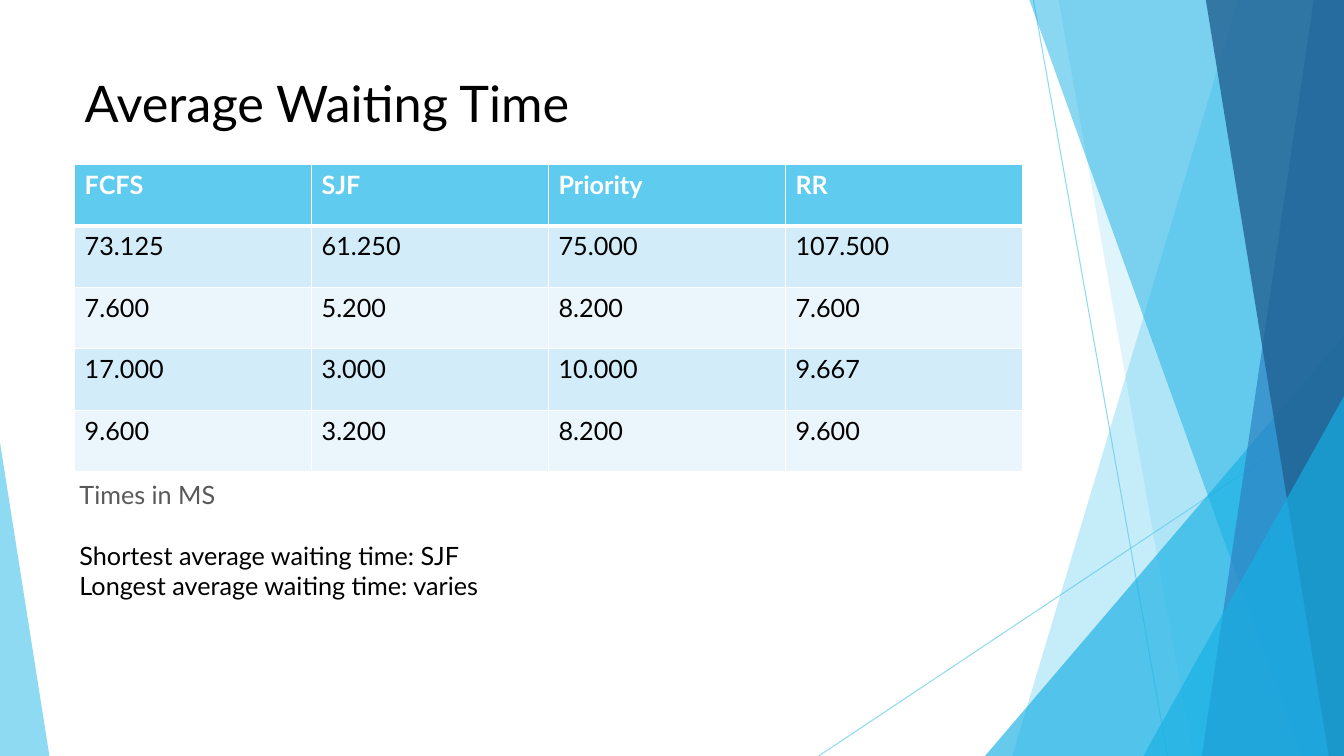
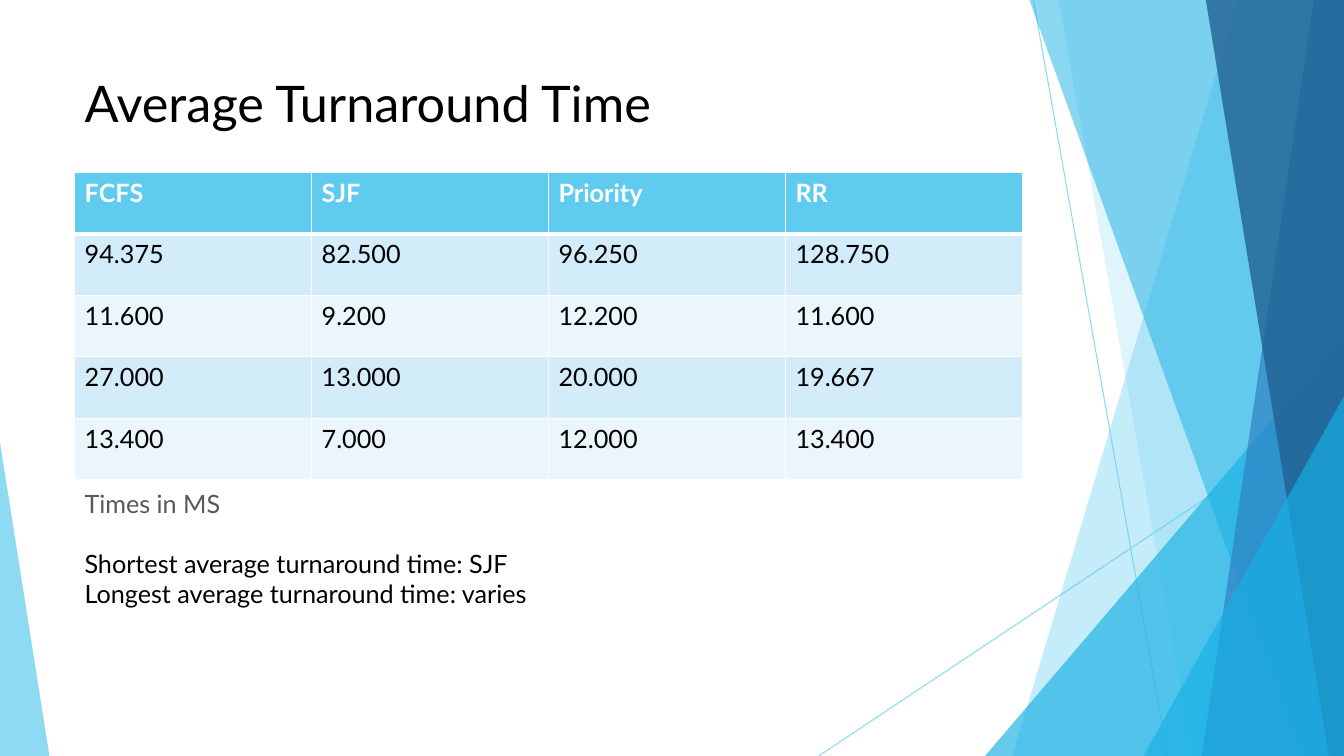
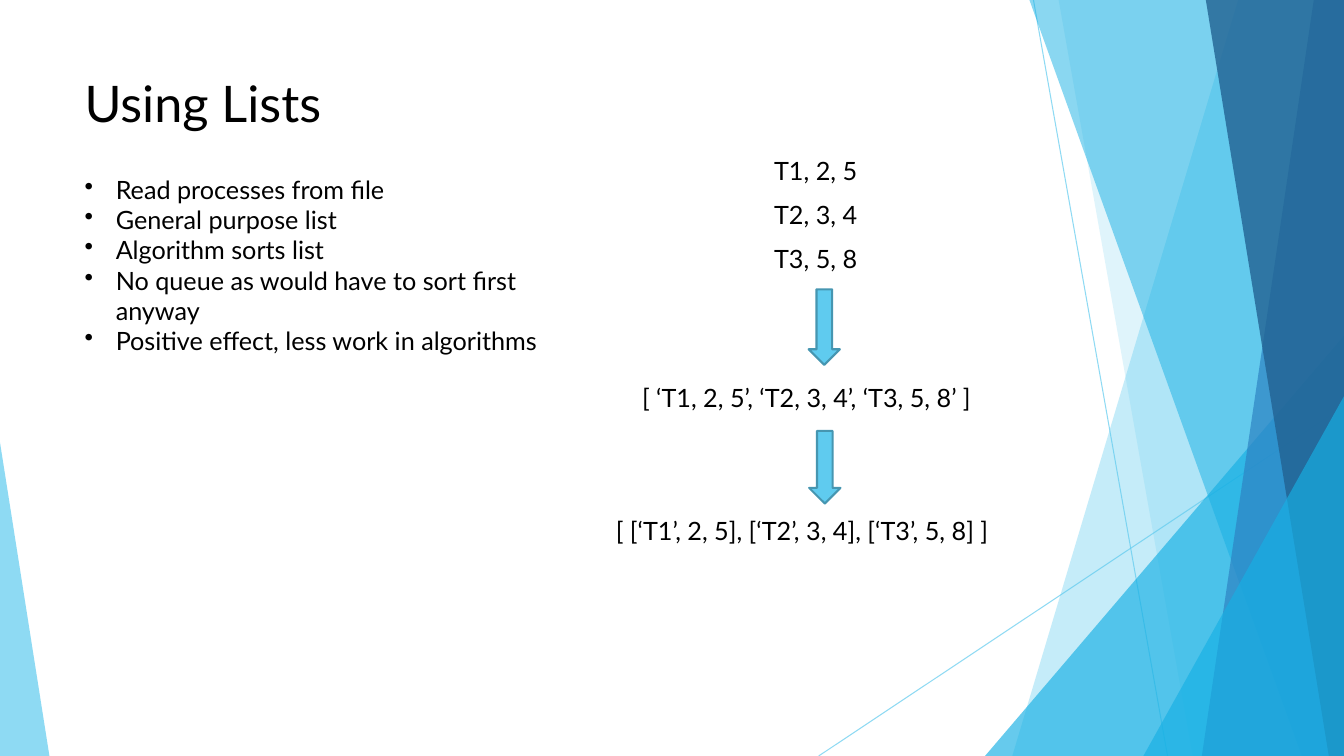
from dataclasses import dataclass
from typing import Sequence

from lxml.etree import SubElement
from pptx import Presentation
from pptx.dml.color import RGBColor
from pptx.enum.shapes import MSO_CONNECTOR, MSO_SHAPE
from pptx.oxml.ns import qn
from pptx.shapes.autoshape import Shape
from pptx.shapes.base import BaseShape
from pptx.slide import Slide, SlideLayout
from pptx.table import _Cell as Cell
from pptx.text.text import TextFrame
from pptx.util import Inches, Pt


# Theme and page geometry
@dataclass(frozen=True)
class Theme:
    font: str = "Lato"
    title_size: float = 36
    body_size: float = 18
    text: str = "000000"
    muted: str = "595959"
    white: str = "FFFFFF"
    sky: str = "5FCBEF"
    cyan: str = "17B0E4"
    blue: str = "2E83C3"
    navy: str = "226292"
    arrow_edge: str = "4696B1"
    row_fills: tuple[str, str] = ("D2ECF9", "EAF6FC")


THEME = Theme()
PAGE_WIDTH, PAGE_HEIGHT = 13.33, 7.5
MARGIN, TITLE_TOP, CONTENT_WIDTH = 0.74, 0.67, 9.4
ROW_HEIGHT = 0.61
BULLET_INDENT = 0.31


# Repeated elements
@dataclass(frozen=True)
class Ray:
    start: tuple[float, float]
    end: tuple[float, float]


@dataclass(frozen=True)
class Band:
    """A strip from a slanted left edge to the right side of the page."""
    top_left: float
    bottom_left: float
    color: str
    opacity: int


@dataclass(frozen=True)
class Corner:
    """A right triangle standing on the bottom of the page."""
    left: float
    top: float
    width: float
    apex: float
    color: str
    opacity: int


@dataclass(frozen=True)
class Line:
    text: str
    color: str = THEME.text
    space_before: float = 0
    bullet: bool = False


@dataclass(frozen=True)
class TimingSlide:
    title: str
    table_top: float
    summary_left: float
    summary_width: float
    measure: str
    rows: tuple[tuple[str, ...], ...]


@dataclass(frozen=True)
class Arrow:
    left: float
    top: float
    length: float


RAYS = (
    Ray((10.25, 0), (11.58, PAGE_HEIGHT)),
    Ray((PAGE_WIDTH, 4.03), (8.12, PAGE_HEIGHT)),
)
FACETS = (
    Band(12.28, 10.04, THEME.sky, 36),
    Band(10.5, 11.83, THEME.sky, 20),
    Corner(9.77, 3.33, 3.56, 1, THEME.cyan, 66),
    Band(10.21, 12.91, THEME.cyan, 50),
    Band(13.03, 11.92, THEME.blue, 70),
    Band(11.96, 13.18, THEME.navy, 80),
    Corner(11.34, 3.93, 1.99, 1, THEME.cyan, 66),
    Corner(0, 4.39, 0.49, 0, THEME.sky, 70),
)
ALGORITHMS = ("FCFS", "SJF", "Priority", "RR")
TIMING_SLIDES = (
    TimingSlide("Average Waiting Time", 1.63, 0.69, 4.76, "waiting", (
        ("73.125", "61.250", "75.000", "107.500"),
        ("7.600", "5.200", "8.200", "7.600"),
        ("17.000", "3.000", "10.000", "9.667"),
        ("9.600", "3.200", "8.200", "9.600"),
    )),
    TimingSlide("Average Turnaround Time", 1.71, MARGIN, 5.93, "turnaround", (
        ("94.375", "82.500", "96.250", "128.750"),
        ("11.600", "9.200", "12.200", "11.600"),
        ("27.000", "13.000", "20.000", "19.667"),
        ("13.400", "7.000", "12.000", "13.400"),
    )),
)
LIST_POINTS = (
    "Read processes from file",
    "General purpose list",
    "Algorithm sorts list",
    "No queue as would have to sort first anyway",
    "Positive effect, less work in algorithms",
)
PROCESSES = ("T1, 2, 5", "T2, 3, 4", "T3, 5, 8")
LIST_ARROWS = (Arrow(7.8, 3.09, 0.75), Arrow(7.82, 4.48, 0.72))


# Drawing helpers
def rgb(color: str) -> RGBColor:
    return RGBColor.from_string(color)


def set_opacity(shape: BaseShape, percent: int) -> None:
    for color in shape.element.iter(qn("a:srgbClr")):
        SubElement(color, qn("a:alpha")).set("val", str(percent * 1000))


def fill_shape(shape: Shape, color: str) -> None:
    shape.shadow.inherit = False
    shape.fill.solid()
    shape.fill.fore_color.rgb = rgb(color)


def write_lines(frame: TextFrame, lines: Sequence[Line],
                size: float = THEME.body_size, bold: bool = False) -> None:
    for index, line in enumerate(lines):
        paragraph = frame.add_paragraph() if index else frame.paragraphs[0]
        paragraph.text = line.text
        paragraph.space_before = Pt(line.space_before)
        paragraph.font.name = THEME.font
        paragraph.font.size = Pt(size)
        paragraph.font.bold = bold
        paragraph.font.color.rgb = rgb(line.color)
        if line.bullet:
            properties = paragraph._p.get_or_add_pPr()
            properties.set("marL", str(Inches(BULLET_INDENT)))
            properties.set("indent", str(-Inches(BULLET_INDENT)))
            bullet = properties.makeelement(qn("a:buChar"), {"char": "•"})
            properties.find(qn("a:defRPr")).addprevious(bullet)


def add_text(slide: Slide, left: float, top: float, width: float, height: float,
             lines: Sequence[Line], size: float = THEME.body_size) -> None:
    box = slide.shapes.add_textbox(
        Inches(left), Inches(top), Inches(width), Inches(height))
    box.text_frame.word_wrap = True
    write_lines(box.text_frame, lines, size)


def add_title(slide: Slide, title: str, content_top: float) -> None:
    add_text(slide, MARGIN, TITLE_TOP, CONTENT_WIDTH, content_top - TITLE_TOP,
             [Line(title)], THEME.title_size)


# Shared backdrop
def add_ray(slide: Slide, ray: Ray) -> BaseShape:
    connector = slide.shapes.add_connector(
        MSO_CONNECTOR.STRAIGHT, *map(Inches, ray.start + ray.end))
    connector.line.color.rgb = rgb(THEME.sky)
    connector.line.width = Pt(0.75)
    SubElement(connector.element.spPr, qn("a:effectLst"))
    set_opacity(connector, 70)
    return connector


def add_facet(slide: Slide, facet: Band | Corner) -> BaseShape:
    if isinstance(facet, Band):
        builder = slide.shapes.build_freeform(Inches(facet.top_left), 0)
        builder.add_line_segments([
            (Inches(PAGE_WIDTH), 0),
            (Inches(PAGE_WIDTH), Inches(PAGE_HEIGHT)),
            (Inches(facet.bottom_left), Inches(PAGE_HEIGHT)),
        ])
        shape = builder.convert_to_shape()
    else:
        shape = slide.shapes.add_shape(
            MSO_SHAPE.ISOSCELES_TRIANGLE, Inches(facet.left), Inches(facet.top),
            Inches(facet.width), Inches(PAGE_HEIGHT - facet.top))
        shape.adjustments[0] = facet.apex
    fill_shape(shape, facet.color)
    shape.line.fill.background()
    set_opacity(shape, facet.opacity)
    return shape


def move_backdrop_to_layout(slide: Slide, layout: SlideLayout) -> None:
    """Draw the backdrop once and let every slide inherit it."""
    for placeholder in list(layout.placeholders):
        layout.shapes.element.remove(placeholder.element)
    backdrop = [add_ray(slide, ray) for ray in RAYS]
    backdrop += [add_facet(slide, facet) for facet in FACETS]
    for shape in backdrop:
        layout.shapes.element.append(shape.element)


# Timing tables
def set_borders(cell: Cell, top: float, bottom: float) -> None:
    properties = cell._tc.get_or_add_tcPr()
    for side, width in (("L", 1), ("R", 1), ("T", top), ("B", bottom)):
        border = SubElement(properties, qn(f"a:ln{side}"), w=str(Pt(width)))
        fill = SubElement(border, qn("a:solidFill"))
        SubElement(fill, qn("a:srgbClr"), val=THEME.white)


def add_timing_table(slide: Slide, content: TimingSlide) -> None:
    rows = (ALGORITHMS, *content.rows)
    table = slide.shapes.add_table(
        len(rows), len(ALGORITHMS), Inches(MARGIN), Inches(content.table_top),
        Inches(CONTENT_WIDTH), Inches(ROW_HEIGHT * len(rows))).table
    for row_index, values in enumerate(rows):
        header = row_index == 0
        fill = THEME.sky if header else THEME.row_fills[(row_index - 1) % 2]
        color = THEME.white if header else THEME.text
        for column_index, value in enumerate(values):
            cell = table.cell(row_index, column_index)
            set_borders(cell, top=3 if row_index == 1 else 1,
                        bottom=3 if header else 1)
            cell.fill.solid()
            cell.fill.fore_color.rgb = rgb(fill)
            write_lines(cell.text_frame, [Line(value, color)], bold=header)


def build_timing_slide(slide: Slide, content: TimingSlide) -> None:
    add_title(slide, content.title, content.table_top)
    add_timing_table(slide, content)
    add_text(slide, content.summary_left, content.table_top + 3.08,
             content.summary_width, 1.31, [
                 Line("Times in MS", THEME.muted),
                 Line(f"Shortest average {content.measure} time: SJF",
                      space_before=21.6),
                 Line(f"Longest average {content.measure} time: varies"),
             ])


# List processing
def add_down_arrow(slide: Slide, arrow: Arrow) -> None:
    shape = slide.shapes.add_shape(
        MSO_SHAPE.RIGHT_ARROW, Inches(arrow.left), Inches(arrow.top),
        Inches(arrow.length), Inches(0.31))
    shape.rotation = 90
    fill_shape(shape, THEME.sky)
    shape.line.color.rgb = rgb(THEME.arrow_edge)
    shape.line.width = Pt(1.5)


def build_list_slide(slide: Slide) -> None:
    points_top = 1.68
    add_title(slide, "Using Lists", points_top)
    add_text(slide, 7.58, 1.49, 1.5, 1.38,
             [Line(process, space_before=10) for process in PROCESSES])
    add_text(slide, 6.27, 3.74, 4.13, 0.4,
             [Line("[ ‘T1, 2, 5’, ‘T2, 3, 4’, ‘T3, 5, 8’ ]")])
    add_text(slide, 6.01, 5.06, 4.64, 0.4,
             [Line("[ [‘T1’, 2, 5], [‘T2’, 3, 4], [‘T3’, 5, 8] ]")])
    for arrow in LIST_ARROWS:
        add_down_arrow(slide, arrow)
    add_text(slide, MARGIN, points_top, 5.06, 3.03,
             [Line(point, bullet=True) for point in LIST_POINTS])


def main() -> None:
    presentation = Presentation()
    presentation.slide_width = Inches(PAGE_WIDTH)
    presentation.slide_height = Inches(PAGE_HEIGHT)
    blank = presentation.slide_layouts[6]
    slides = [presentation.slides.add_slide(blank) for _ in range(3)]
    move_backdrop_to_layout(slides[0], blank)
    for slide, content in zip(slides, TIMING_SLIDES):
        build_timing_slide(slide, content)
    build_list_slide(slides[-1])
    presentation.save("out.pptx")


main()
